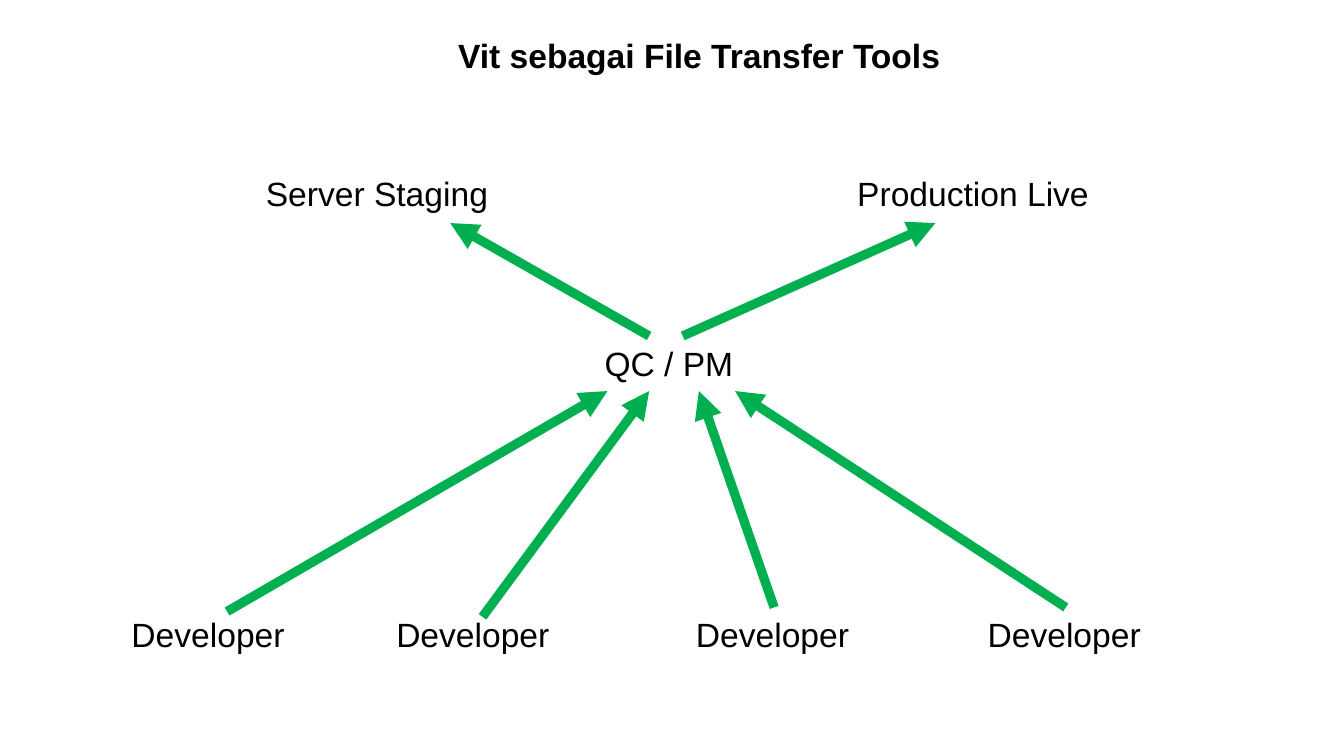
from dataclasses import dataclass

from lxml import etree
from pptx import Presentation
from pptx import util as u
from pptx.dml.color import RGBColor
from pptx.enum import shapes, text
from pptx.oxml.ns import qn
from pptx.slide import Slide

BLACK = "000000"
GREEN = "00B050"
SLIDE_WIDTH = 10
SLIDE_HEIGHT = SLIDE_WIDTH * 9 / 16
LABEL_HEIGHT = 0.4
SERVER_TOP = 1.24
REVIEW_TOP = 2.5
DEVELOPER_TOP = 4.52
SERVER_ARROW_END = 1.66
REVIEW_ARROW_END = 2.91


@dataclass(frozen=True)
class Label:
    caption: str
    left: float
    top: float
    width: float
    bold: bool = False


@dataclass(frozen=True)
class Arrow:
    start_x: float
    start_y: float
    end_x: float
    end_y: float


LABELS = [
    Label("Production Live", 6.28, SERVER_TOP, 1.94),
    Label("Server Staging", 1.88, SERVER_TOP, 1.87),
    Label("QC / PM", 4.4, REVIEW_TOP, 1.17),
    *(Label("Developer", left, DEVELOPER_TOP, 1.35) for left in (0.88, 2.85, 5.08, 7.25)),
    Label("Vit sebagai File Transfer Tools", 3.31, 0.21, 3.89, bold=True),
]

ARROWS = [
    Arrow(7.93, 4.52, 5.47, REVIEW_ARROW_END),
    Arrow(5.76, 4.52, 5.2, REVIEW_ARROW_END),
    Arrow(3.59, 4.59, 4.83, REVIEW_ARROW_END),
    Arrow(1.69, 4.55, 4.52, REVIEW_ARROW_END),
    Arrow(5.08, REVIEW_TOP, 6.96, SERVER_ARROW_END),
    Arrow(4.83, REVIEW_TOP, 3.35, SERVER_ARROW_END),
]


def color(value: str) -> RGBColor:
    return RGBColor.from_string(value)


def draw_label(page: Slide, label: Label) -> None:
    box = page.shapes.add_textbox(
        u.Inches(label.left), u.Inches(label.top), u.Inches(label.width), u.Inches(LABEL_HEIGHT)
    )
    frame = box.text_frame
    frame.text = label.caption
    frame.word_wrap = False
    frame.auto_size = text.MSO_AUTO_SIZE.SHAPE_TO_FIT_TEXT
    span = frame.paragraphs[0].runs[0]
    span.font.name = "Arial"
    span.font.size = u.Pt(18)
    span.font.bold = label.bold
    span.font.color.rgb = color(BLACK)


def draw_arrow(page: Slide, arrow: Arrow) -> None:
    connector = page.shapes.add_connector(
        shapes.MSO_CONNECTOR.STRAIGHT,
        u.Inches(arrow.start_x),
        u.Inches(arrow.start_y),
        u.Inches(arrow.end_x),
        u.Inches(arrow.end_y),
    )
    connector.line.color.rgb = color(GREEN)
    connector.line.width = u.Pt(5)
    properties = connector._element.spPr
    etree.SubElement(properties.find(qn("a:ln")), qn("a:tailEnd"), type="triangle")
    etree.SubElement(properties, qn("a:effectLst"))


def main() -> None:
    deck = Presentation()
    deck.slide_width = u.Inches(SLIDE_WIDTH)
    deck.slide_height = u.Inches(SLIDE_HEIGHT)
    page = deck.slides.add_slide(deck.slide_layouts[6])
    for label in LABELS:
        draw_label(page, label)
    for arrow in ARROWS:
        draw_arrow(page, arrow)
    deck.save("out.pptx")


if __name__ == "__main__":
    main()
